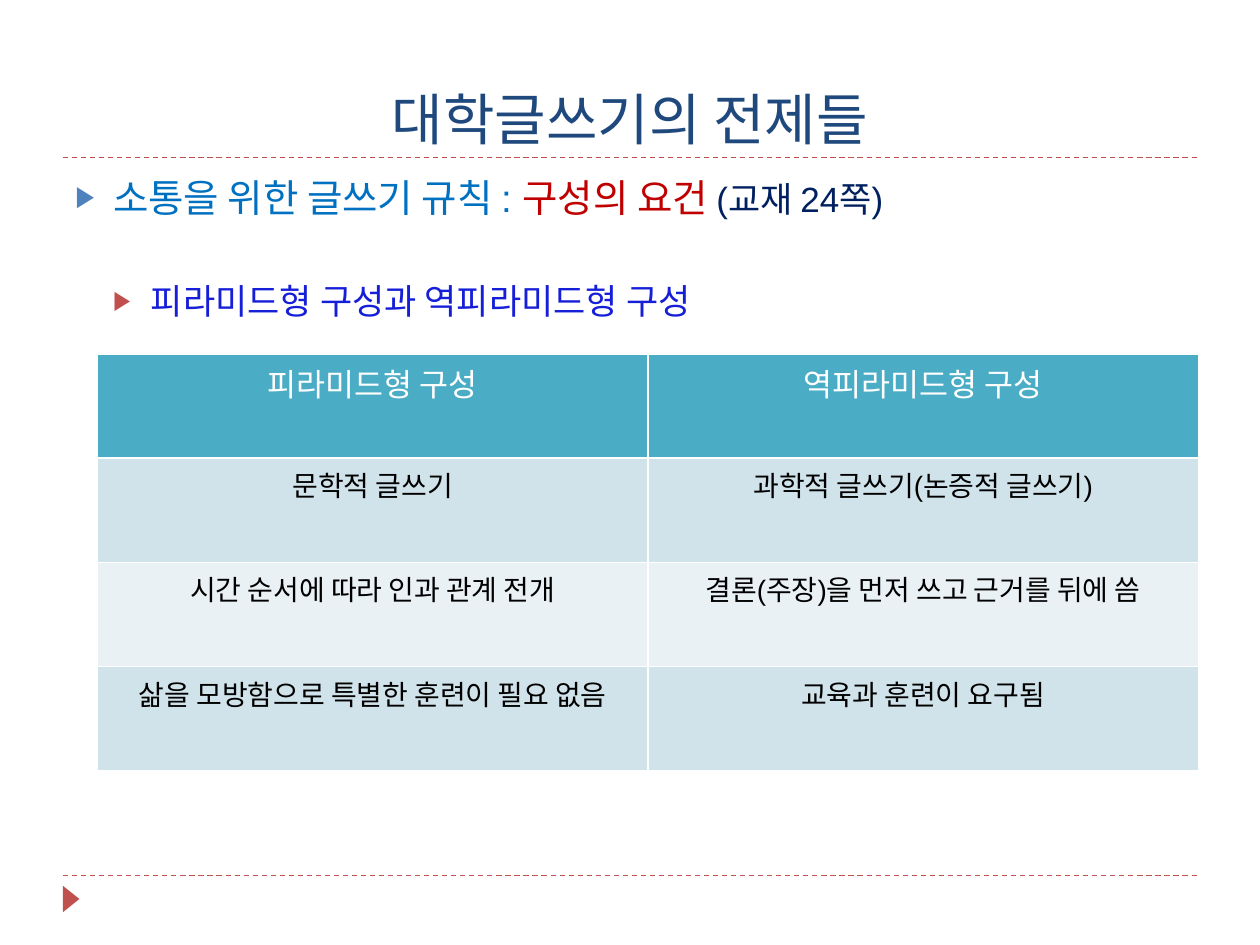
from pptx import Presentation
from pptx.dml.color import RGBColor as RGB
from pptx.enum.dml import MSO_LINE as Dash
from pptx.enum.shapes import MSO_CONNECTOR as Conn, MSO_SHAPE as Geo
from pptx.enum.text import MSO_ANCHOR as Anchor, PP_ALIGN as Align
from pptx.oxml.ns import qn
from pptx.util import Pt
from lxml.etree import SubElement as Sub

theme = {
    "font": "Arial", "serif": "TeX Gyre Bonum",
    "navy": "1F497D", "blue": "4F81BD", "red": "C0504D", "white": "FFFFFF",
    "sky": "0070C0", "crimson": "C00000", "ink": "002060", "vivid": "161FD8",
    "black": "000000", "teal": "4BACC6", "bands": ["E9F1F5", "D0E3EA"],
    "title": 32, "lead": 22, "sub": 20, "head": 18, "cell": 16,
}


def write(para, text, size, color, face=theme["font"]):
    run = para.add_run()
    run.text = text
    for key, val in {"size": Pt(size), "name": face}.items():
        setattr(run.font, key, val)
    run.font.color.rgb = RGB.from_string(color)


def frame(left, top, width, height, anchor):
    text = deck.shapes.add_textbox(Pt(left), Pt(top), Pt(width), Pt(height)).text_frame
    for key, val in {"word_wrap": True, "vertical_anchor": anchor}.items():
        setattr(text, key, val)
    return text


prs = Presentation()
prs.slide_width, prs.slide_height = Pt(720), Pt(540)
deck = prs.slides.add_slide(prs.slide_layouts[6])

# Dashed rules
for y in (500.4, 90):
    rule = deck.shapes.add_connector(Conn.STRAIGHT, Pt(36), Pt(y), Pt(684), Pt(y))
    form = {"width": Pt(0.75), "dash_style": Dash.DASH}
    for key, val in form.items():
        setattr(rule.line, key, val)
    rule.line.color.rgb = RGB.from_string(theme["red"])
    Sub(rule._element.spPr, qn("a:effectLst"))

# Footer marker
mark = deck.shapes.add_shape(Geo.ISOSCELES_TRIANGLE, Pt(33.1), Pt(509), Pt(15.1), Pt(9.4))
mark.rotation = 90
mark.shadow.inherit = False
mark.fill.solid()
mark.fill.fore_color.rgb = RGB.from_string(theme["red"])
mark.line.fill.background()

# Title
para = frame(36, 12.2, 648, 77.8, Anchor.BOTTOM).paragraphs[0]
para.alignment = Align.CENTER
write(para, "대학글쓰기의 전제들", theme["title"], theme["navy"], theme["serif"])

# Bulleted text: level, indent, space before, bullet colour, runs
points = [
    (0, 21.6, 6, "blue", [("소통을 위한 글쓰기 규칙 : ", "lead", "sky"),
                          ("구성의 요건 ", "lead", "crimson"),
                          ("(교재 24쪽)", "sub", "ink")]),
    (1, 43.2, 34, "red", [("피라미드형 구성과 역피라미드형 구성", "sub", "vivid")]),
]
body = frame(36, 95.8, 648, 406.8, Anchor.TOP)
for i, (level, left, gap, tint, runs) in enumerate(points):
    para = body.add_paragraph() if i else body.paragraphs[0]
    for key, val in {"level": level, "space_before": Pt(gap)}.items():
        setattr(para, key, val)
    props = para._p.get_or_add_pPr()
    props.set("marL", str(Pt(left)))
    props.set("indent", str(Pt(-21.6)))
    Sub(Sub(props, qn("a:buClr")), qn("a:srgbClr"), val=theme[tint])
    Sub(props, qn("a:buSzPct"), val="76000")
    Sub(props, qn("a:buFont"), typeface=theme["font"])
    Sub(props, qn("a:buChar"), char="▶")
    for text, size, color in runs:
        write(para, text, theme[size], theme[color])

# Comparison table
rows = [
    ("피라미드형 구성", "역피라미드형 구성"),
    ("문학적 글쓰기", "과학적 글쓰기(논증적 글쓰기)"),
    ("시간 순서에 따라 인과 관계 전개", "결론(주장)을 먼저 쓰고 근거를 뒤에 씀"),
    ("삶을 모방함으로 특별한 훈련이 필요 없음", "교육과 훈련이 요구됨"),
]
grid = deck.shapes.add_table(4, 2, Pt(55.8), Pt(202.3), Pt(629), Pt(238)).table
for r, row in enumerate(rows):
    size, color = ("cell", "black") if r else ("head", "white")
    fill = theme["bands"][r % 2] if r else theme["teal"]
    for c, text in enumerate(row):
        cell = grid.cell(r, c)
        para = cell.text_frame.paragraphs[0]
        para.alignment = Align.CENTER
        write(para, text, theme[size], theme[color])
        props = cell._tc.get_or_add_tcPr()
        for side in ("lnL", "lnR", "lnT", "lnB"):
            edge = Sub(props, qn("a:" + side), w=str(Pt(1)))
            Sub(Sub(edge, qn("a:solidFill")), qn("a:srgbClr"), val=theme["white"])
        cell.fill.solid()
        cell.fill.fore_color.rgb = RGB.from_string(fill)

prs.save("out.pptx")
